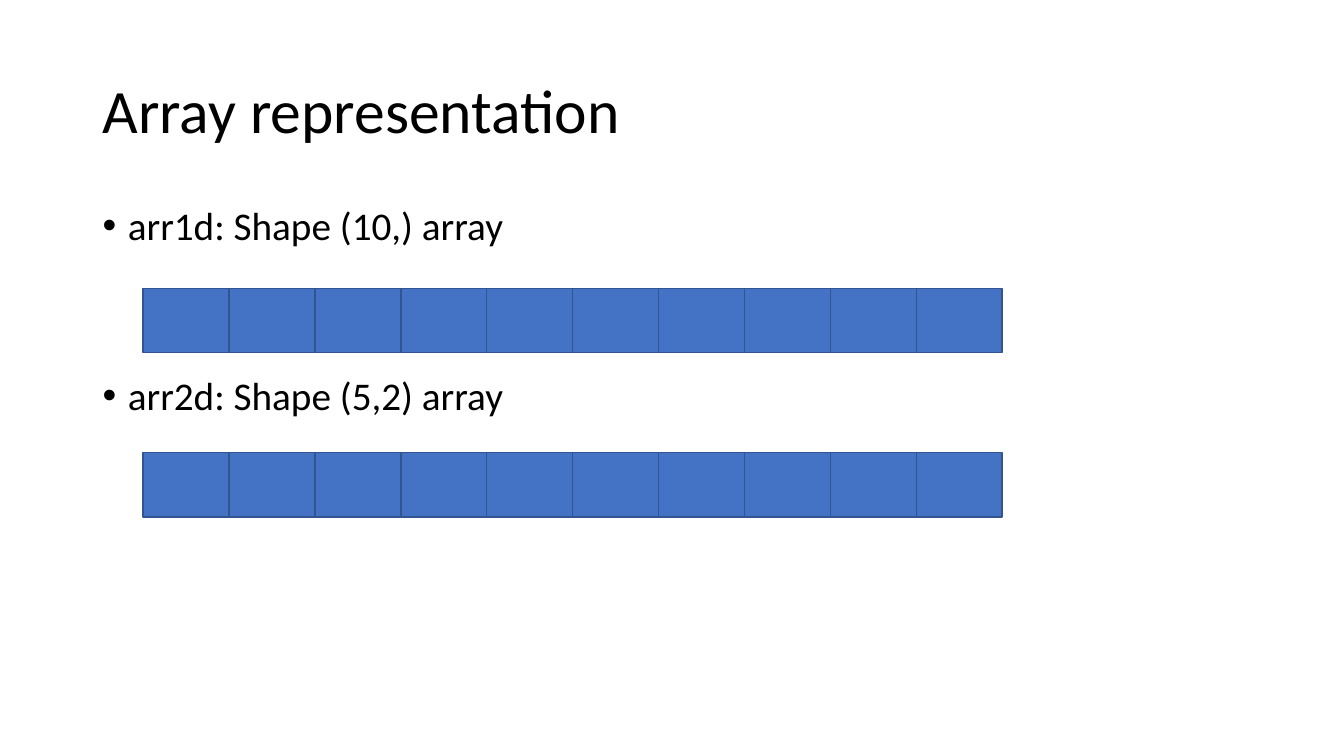
from dataclasses import dataclass

import lxml.etree
import pptx
import pptx.dml.color
import pptx.enum.shapes
import pptx.enum.text
import pptx.oxml.ns
import pptx.slide
import pptx.text.text
import pptx.util

EMU_PER_PX = 9144  # 100 px to the inch
FONT = "Calibri"
TEXT_COLOR = "000000"
CELL_FILL = "4472C4"
CELL_LINE = "325491"
CELL_COUNT = 10
ROW_LEFT, ROW_WIDTH, ROW_HEIGHT = 142, 852, 64
TEXT_LEFT, TEXT_WIDTH = 92, 1150
BULLET_INDENT = 25


@dataclass(frozen=True)
class ArrayRow:
    label: str
    space_before: int  # points above the label
    top: int  # px


ARRAYS = [
    ArrayRow("arr1d: Shape (10,) array", 10, 286),
    ArrayRow("arr2d: Shape (5,2) array", 91, 449),
]


def px(length: float) -> pptx.util.Emu:
    return pptx.util.Emu(round(length * EMU_PER_PX))


def color(value: str) -> pptx.dml.color.RGBColor:
    return pptx.dml.color.RGBColor.from_string(value)


def add_text_frame(slide: pptx.slide.Slide, top: int, height: int) -> pptx.text.text.TextFrame:
    box = slide.shapes.add_textbox(px(TEXT_LEFT), px(top), px(TEXT_WIDTH), px(height))
    box.text_frame.word_wrap = True
    return box.text_frame


def write(paragraph: pptx.text.text._Paragraph, text: str, size: int) -> None:
    paragraph.text = text
    paragraph.line_spacing = 0.9
    font = paragraph.runs[0].font
    font.name = FONT
    font.size = pptx.util.Pt(size)
    font.color.rgb = color(TEXT_COLOR)


def add_bullet(paragraph: pptx.text.text._Paragraph) -> None:
    properties = paragraph._p.get_or_add_pPr()
    properties.set("marL", str(px(BULLET_INDENT)))
    properties.set("indent", str(-px(BULLET_INDENT)))
    qn = pptx.oxml.ns.qn
    lxml.etree.SubElement(properties, qn("a:buFont"), typeface="Arial")
    lxml.etree.SubElement(properties, qn("a:buChar"), char="•")


def draw_array(slide: pptx.slide.Slide, array: ArrayRow) -> None:
    cells = slide.shapes.add_group_shape().shapes
    cell_width = ROW_WIDTH / CELL_COUNT
    for index in range(CELL_COUNT):
        cell = cells.add_shape(
            pptx.enum.shapes.MSO_SHAPE.RECTANGLE,
            px(ROW_LEFT + index * cell_width), px(array.top),
            px(cell_width), px(ROW_HEIGHT),
        )
        cell.shadow.inherit = False
        cell.fill.solid()
        cell.fill.fore_color.rgb = color(CELL_FILL)
        cell.line.color.rgb = color(CELL_LINE)
        cell.line.width = pptx.util.Pt(1)


def main() -> None:
    presentation = pptx.Presentation()
    presentation.slide_width = px(1333)
    presentation.slide_height = px(750)
    slide = presentation.slides.add_slide(presentation.slide_layouts[6])

    # Title
    title = add_text_frame(slide, 40, 145)
    title.vertical_anchor = pptx.enum.text.MSO_ANCHOR.MIDDLE
    write(title.paragraphs[0], "Array representation", 44)

    # Array labels, spaced to leave room for the cells
    labels = add_text_frame(slide, 200, 476)
    for index, array in enumerate(ARRAYS):
        label = labels.add_paragraph() if index else labels.paragraphs[0]
        write(label, array.label, 28)
        label.space_before = pptx.util.Pt(array.space_before)
        add_bullet(label)

    # Rows of memory cells
    for array in ARRAYS:
        draw_array(slide, array)

    presentation.save("out.pptx")


if __name__ == "__main__":
    main()
